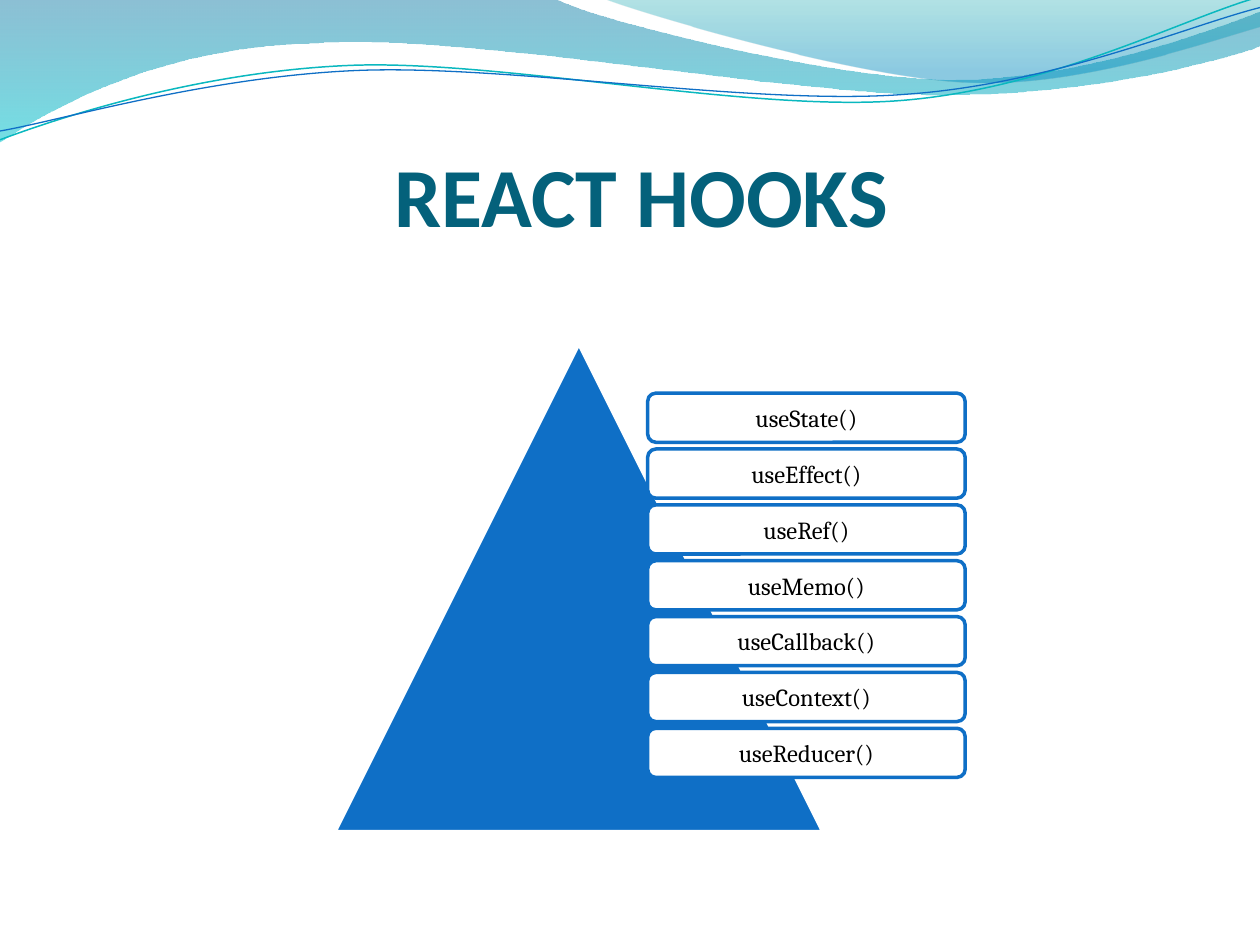
from lxml import etree
from pptx import Presentation
from pptx import util as u
from pptx.dml import color
from pptx.enum import shapes, text
from pptx.oxml import ns

COLORS = {
    "white": "FFFFFF",
    "black": "000000",
    "blue": "0F6FC6",
    "title": "04617B",
    "teal_line": "0AB8BF",
    "wave_blue": "0074A1",
    "wave_cyan": "00C6CF",
    "crest_teal": "00A1A9",
    "crest_blue": "008BBF",
}
HOOKS = ["useState()", "useEffect()", "useRef()", "useMemo()",
         "useCallback()", "useContext()", "useReducer()"]

WAVE = [(0, 0), (4.4, -0.01),
        (4.76, 0.17, 6.64, 0.63, 7.58, 0.63), (8.53, 0.63, 9.58, 0.26, 10, 0.09),
        (10.01, 0.36),
        (9.83, 0.44, 8.7, 0.76, 7.46, 0.75), (6.22, 0.75, 3.82, 0.28, 2.57, 0.34),
        (1.29, 0.36, 0.46, 0.83, -0.01, 1.13)]
CREST = [(4.79, -0.01),
         (5.09, 0.11, 6.82, 0.62, 7.69, 0.65), (8.56, 0.69, 9.61, 0.32, 10, 0.21),
         (10, 0)]
TEAL_LINE = [(0, 1.11),
             (0.48, 0.93, 1.58, 0.57, 2.77, 0.52), (3.95, 0.47, 5.93, 0.89, 7.13, 0.8),
             (8.33, 0.71, 9.38, 0.15, 9.98, -0.02)]
BLUE_LINE = [(0, 1.04),
             (0.47, 0.96, 1.64, 0.61, 2.83, 0.56), (4.03, 0.51, 5.97, 0.84, 7.17, 0.75),
             (8.36, 0.67, 9.41, 0.21, 10, 0.06)]


def rgb(name):
    return color.RGBColor.from_string(COLORS[name])


def set_alpha(color_element, percent):
    alpha = etree.SubElement(color_element, ns.qn("a:alpha"))
    alpha.set("val", str(percent * 1000))


def bend_curves(shape, segments):
    lines = iter(shape._element.findall(".//" + ns.qn("a:lnTo")))
    for segment in segments[1:]:
        members = [next(lines) for _ in range(len(segment) // 2)]
        if len(members) == 3:
            curve = etree.Element(ns.qn("a:cubicBezTo"))
            members[0].addprevious(curve)
            for member in members:
                curve.append(member[0])
                member.getparent().remove(member)


def add_outline(slide, segments, close):
    points = [(u.Inches(x), u.Inches(y))
              for segment in segments for x, y in zip(segment[::2], segment[1::2])]
    builder = slide.shapes.build_freeform(*points[0], scale=1.0)
    builder.add_line_segments(points[1:], close=close)
    shape = builder.convert_to_shape()
    shape.shadow.inherit = False
    bend_curves(shape, segments)
    return shape


def add_gradient_wave(slide, segments, stops):
    shape = add_outline(slide, segments, True)
    shape.line.fill.background()
    shape.fill.gradient()
    shape.fill.gradient_angle = 270
    for stop, (position, name, alpha) in zip(shape.fill.gradient_stops, stops):
        stop.position = position
        stop.color.rgb = rgb(name)
    colors = shape.fill._xPr.findall(".//" + ns.qn("a:srgbClr"))
    for element, (position, name, alpha) in zip(colors, stops):
        set_alpha(element, alpha)


def add_wave_line(slide, segments, name, width):
    shape = add_outline(slide, segments, False)
    shape.fill.background()
    set_line(shape, name, width)


def set_line(shape, name, width):
    shape.line.color.rgb = rgb(name)
    shape.line.width = u.Pt(width)


def add_preset(slide, kind, box, fill, line):
    shape = slide.shapes.add_shape(kind, *map(u.Inches, box))
    shape.shadow.inherit = False
    shape.fill.solid()
    shape.fill.fore_color.rgb = rgb(fill)
    set_line(shape, line, 2)
    return shape


def write_text(shape, words, font, size, name, anchor, insets, bold=False):
    frame = shape.text_frame
    frame.word_wrap = True
    frame.vertical_anchor = anchor
    (frame.margin_left, frame.margin_top,
     frame.margin_right, frame.margin_bottom) = map(u.Inches, insets)
    paragraph = frame.paragraphs[0]
    paragraph.alignment = text.PP_ALIGN.CENTER
    run = paragraph.add_run()
    run.text = words
    run.font.name = font
    run.font.size = u.Pt(size)
    run.font.bold = bold
    run.font.color.rgb = rgb(name)


def add_title(slide, words):
    box = slide.shapes.add_textbox(*map(u.Inches, (0.55, 0.94, 9.08, 1)))
    write_text(box, words, "Calibri", 48, "title", text.MSO_ANCHOR.BOTTOM,
               (0, 0.05, 0, 0), bold=True)


def add_hook(slide, words, top):
    shape = add_preset(slide, shapes.MSO_SHAPE.ROUNDED_RECTANGLE,
                       (5.14, top, 2.52, 0.39), "white", "blue")
    write_text(shape, words, "Cambria", 14, "black", text.MSO_ANCHOR.MIDDLE, [0.06] * 4)


def main():
    presentation = Presentation()
    presentation.slide_width = u.Inches(10)
    presentation.slide_height = u.Inches(7.5)
    slide = presentation.slides.add_slide(presentation.slide_layouts[6])

    add_gradient_wave(slide, WAVE, [(0, "wave_blue", 45), (1, "wave_cyan", 55)])
    add_gradient_wave(slide, CREST, [(0, "crest_teal", 30), (0.8, "crest_blue", 45)])
    add_wave_line(slide, TEAL_LINE, "teal_line", 0.85)
    add_wave_line(slide, BLUE_LINE, "blue", 0.75)
    add_title(slide, "REACT HOOKS")

    add_preset(slide, shapes.MSO_SHAPE.ISOSCELES_TRIANGLE,
               (2.66, 2.73, 3.87, 3.87), "blue", "white")
    first_top, last_top = 3.12, 5.78
    pitch = (last_top - first_top) / (len(HOOKS) - 1)
    for index, hook in enumerate(HOOKS):
        add_hook(slide, hook, first_top + index * pitch)

    presentation.save("out.pptx")


main()
